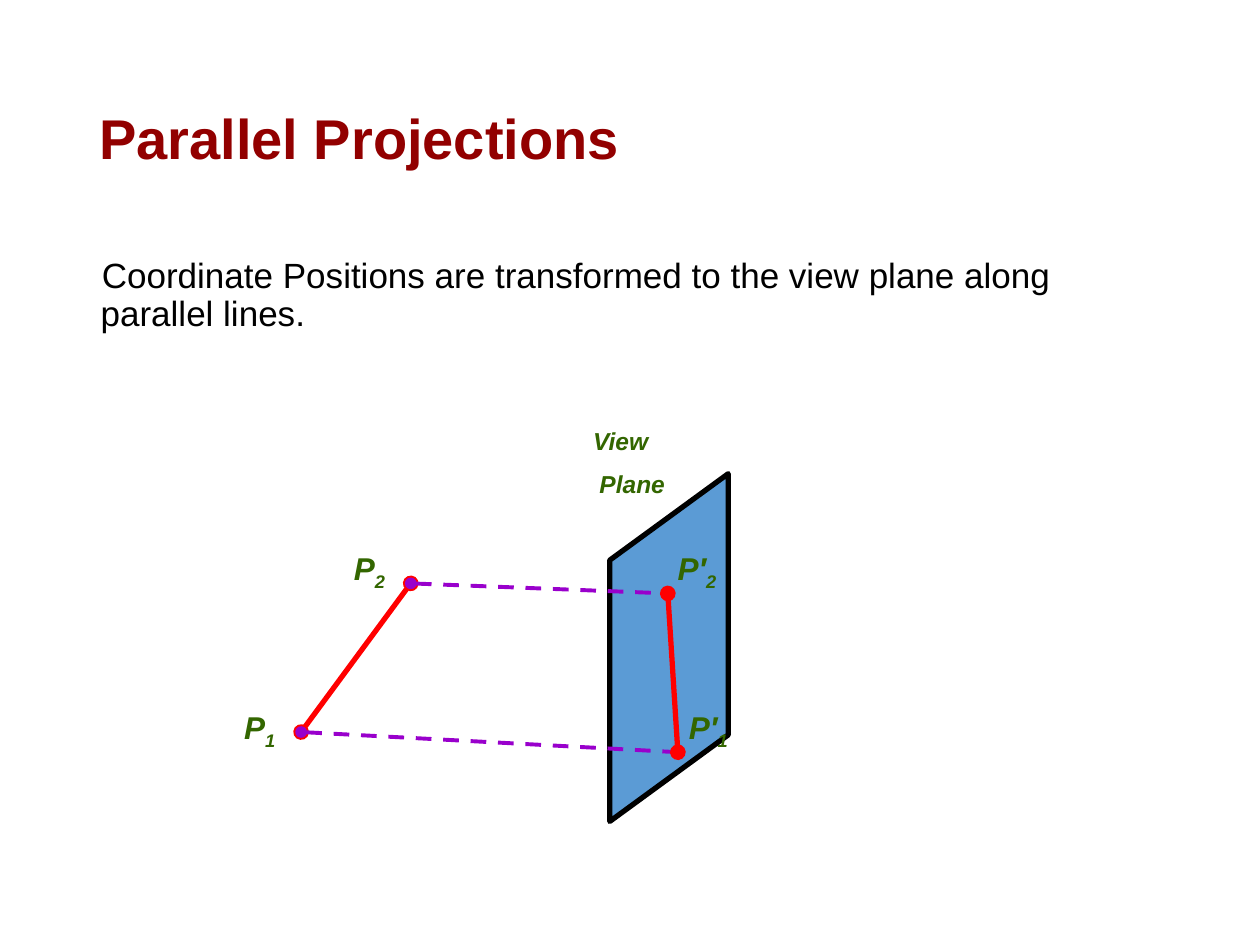
from pptx import Presentation
from pptx.dml.color import RGBColor
from pptx.enum.dml import MSO_LINE_DASH_STYLE as Dash
from pptx.enum.shapes import MSO_CONNECTOR as Connector, MSO_SHAPE as Shape
from pptx.enum.text import MSO_ANCHOR as Anchor
from pptx.oxml.ns import qn
from pptx.util import Inches, Pt
from lxml.etree import SubElement

COLORS = {
    "title": "920000",
    "body": "000000",
    "label": "336600",
    "segment": "FF0000",
    "projector": "9900CC",
    "plane": "5B9BD5",
    "outline": "000000",
}


def color(name):
    return RGBColor.from_string(COLORS[name])


def add_run(paragraph, text, size=18, ink="label", bold=False, italic=False,
            baseline=None):
    run = paragraph.add_run()
    run.text = text
    font = run.font
    font.name, font.size, font.bold, font.italic = "Arial", Pt(size), bold, italic
    font.color.rgb = color(ink)
    if baseline is not None:
        font._element.set("baseline", str(baseline * 1000))


class SlideBuilder:
    label_style = dict(ink="label", bold=True, italic=True)

    def __init__(self, slide):
        self.slide = slide

    def text_box(self, left, top, width, height, anchor=Anchor.TOP):
        box = self.slide.shapes.add_textbox(
            Inches(left), Inches(top), Inches(width), Inches(height))
        frame = box.text_frame
        frame.word_wrap = True
        frame.vertical_anchor = anchor
        return frame

    def paragraph(self, paragraph, text, indent=0, first=0, line_spacing=None,
                  **style):
        properties = paragraph._p.get_or_add_pPr()
        properties.set("marL", str(Inches(indent)))
        properties.set("indent", str(Inches(first)))
        if line_spacing:
            paragraph.line_spacing = line_spacing
        add_run(paragraph, text, **style)

    def point_label(self, left, top, name, index):
        paragraph = self.text_box(left, top, 0.63, 0.4).paragraphs[0]
        add_run(paragraph, name, **self.label_style)
        add_run(paragraph, index, baseline=-25, **self.label_style)

    def line(self, start, end, ink, width, dash=None):
        line = self.slide.shapes.add_connector(
            Connector.STRAIGHT, *map(Inches, start + end))
        line.line.color.rgb = color(ink)
        line.line.width = Pt(width)
        if dash:
            line.line.dash_style = dash
        outline = line.line._get_or_add_ln()
        for tag in ("a:headEnd", "a:tailEnd"):
            SubElement(outline, qn(tag), type="oval")
        SubElement(line._element.spPr, qn("a:effectLst"))

    def view_plane(self, left, top, width, height):
        plane = self.slide.shapes.add_shape(
            Shape.PARALLELOGRAM, *map(Inches, (left, top, width, height)))
        plane.adjustments[0] = 0.73
        plane.rotation = 270
        plane._element.spPr.xfrm.set("flipH", "1")
        plane.shadow.inherit = False
        plane.fill.solid()
        plane.fill.fore_color.rgb = color("plane")
        plane.line.color.rgb = color("outline")
        plane.line.width = Pt(3)


def main():
    deck = Presentation()
    deck.slide_width, deck.slide_height = Inches(10), Inches(7.5)
    builder = SlideBuilder(deck.slides.add_slide(deck.slide_layouts[6]))

    # Title and statement
    title = builder.text_box(0.69, 0.4, 8.62, 1.45, Anchor.MIDDLE)
    builder.paragraph(title.paragraphs[0], "Parallel Projections",
                      line_spacing=0.9, size=32, ink="title", bold=True)
    statement = builder.text_box(0.69, 2, 8.62, 4.76)
    builder.paragraph(
        statement.paragraphs[0],
        "Coordinate Positions are transformed to the view plane along parallel lines.",
        indent=0.01, first=0.01, line_spacing=0.9, size=20, ink="body")

    # Object segment, view plane, projectors and projected segment
    p1, p2 = (2.39, 5.81), (3.26, 4.63)
    projected_p1, projected_p2 = (5.38, 5.97), (5.3, 4.71)
    builder.line(p1, p2, "segment", 3)
    builder.view_plane(3.93, 4.67, 2.76, 0.94)
    for point, projected in ((p2, projected_p2), (p1, projected_p1)):
        builder.line(point, projected, "projector", 2.25, Dash.DASH)
    builder.line(projected_p2, projected_p1, "segment", 3)

    # Point labels
    for left, top, name, index in ((1.84, 5.57, "P", "1"), (2.71, 4.31, "P", "2"),
                                   (5.28, 4.31, "P′", "2"), (5.37, 5.57, "P′", "1")):
        builder.point_label(left, top, name, index)

    # View plane caption
    caption = builder.text_box(4.61, 3.33, 1.97, 0.68)
    builder.paragraph(caption.paragraphs[0], "View", size=14, **builder.label_style)
    second_line = caption.add_paragraph()
    second_line.space_before = Pt(8)
    builder.paragraph(second_line, "Plane", indent=0.05, size=14,
                      **builder.label_style)

    deck.save("out.pptx")


if __name__ == "__main__":
    main()
